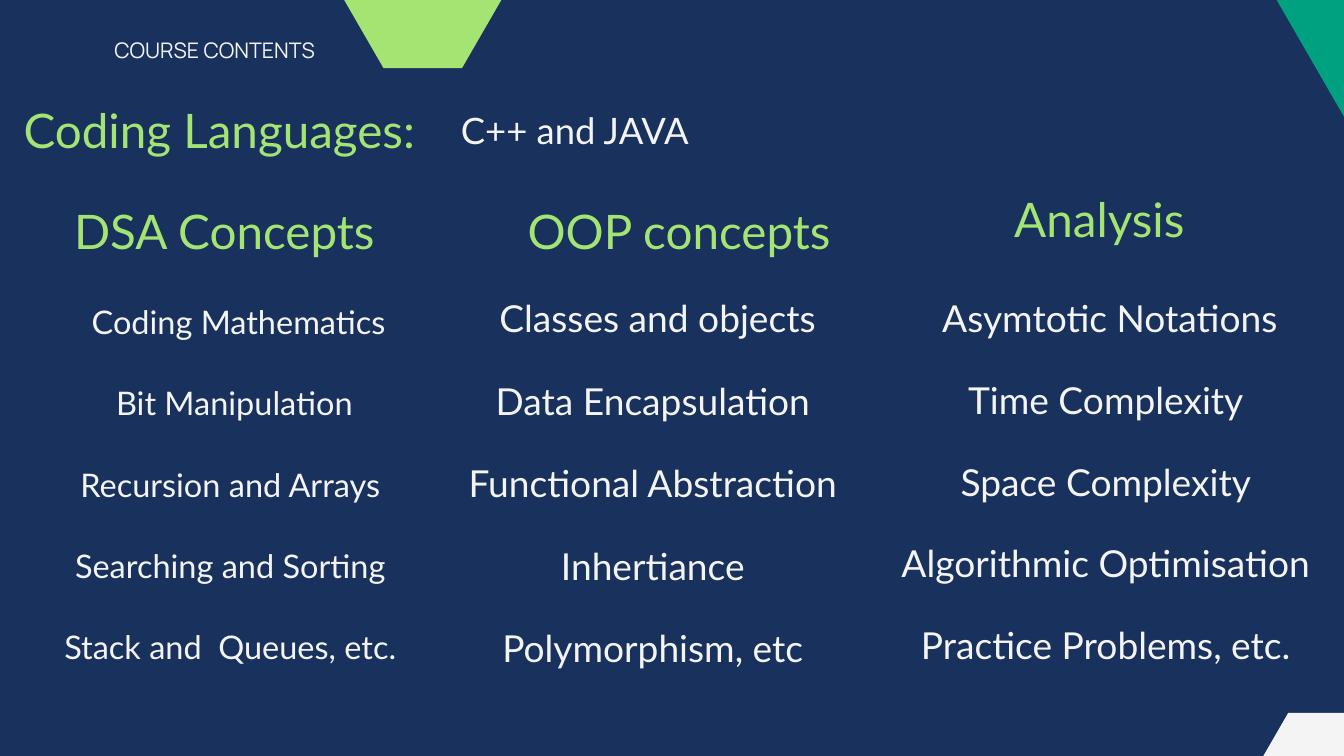
"""Build the course contents slide: languages taught and three topic columns."""
import math

from pptx import Presentation
from pptx import util as u
from pptx.dml.color import RGBColor
from pptx.enum import text

COLOURS = {"navy": "19315D", "white": "F4F4F4", "lime": "A4E473", "teal": "00A181"}
LEFT, CENTER = text.PP_ALIGN.LEFT, text.PP_ALIGN.CENTER

HEXAGONS = [
    {"center": (56.82, -0.52), "width": 17.73, "colour": "teal"},
    {"center": (50.8, 30.6), "width": 8.43, "colour": "white"},
    {"center": (15.98, 0), "width": 5.94, "colour": "lime"},
]

LABELS = [
    {"line": "C++ and JAVA", "at": (17.42, 4.09, 41.02, 1.65),
     "size": 39, "leading": 46.8},
    {"line": "COURSE CONTENTS", "at": (4.32, 1.22, 11.68, 1.12),
     "size": 23, "leading": 32.2, "font": "Manrope"},
]

HEADINGS = [
    {"line": "Coding Languages:", "at": (0.89, 3.81, 15.98), "align": LEFT},
    {"line": "DSA Concepts", "at": (1.8, 7.62, 13.36), "align": CENTER},
    {"line": "OOP concepts", "at": (19.28, 7.62, 12.78), "align": CENTER},
    {"line": "Analysis ", "at": (35.64, 7.19, 12.29), "align": CENTER},
]

TOPICS = [
    {"at": (-0.18, 9.83, 18.08, 14.81), "size": 34.8, "leading": 87,
     "lines": [" Coding Mathematics", "Bit Manipulation", "Recursion and Arrays ",
               "Searching and Sorting ", "Stack and  Queues, etc. "]},
    {"at": (15.98, 9.75, 17.4, 15.14), "size": 39.8, "leading": 88.3,
     "lines": [" Classes and objects", "Data Encapsulation", "Functional Abstraction",
               "Inhertiance", "Polymorphism, etc"]},
    {"at": (33.1, 9.78, 17.4, 15.01), "size": 39.8, "leading": 87.5,
     "lines": [" Asymtotic Notations", "Time Complexity", "Space Complexity",
               "Algorithmic Optimisation", "Practice Problems, etc."]},
]


def colour(name):
    return RGBColor.from_string(COLOURS[name])


def add_hexagon(page, center, width, fill):
    radius = width / 2
    corners = [
        (u.Cm(center[0] + radius * math.cos(math.radians(angle))),
         u.Cm(center[1] + radius * math.sin(math.radians(angle))))
        for angle in range(0, 360, 60)
    ]
    builder = page.shapes.build_freeform(*corners[0])
    builder.add_line_segments(corners[1:], close=True)
    shape = builder.convert_to_shape()
    shape.shadow.inherit = False
    shape.fill.solid()
    shape.fill.fore_color.rgb = colour(fill)
    shape.line.fill.background()


def add_text(page, lines, at, size, leading, ink="white", font="Lato", align=LEFT):
    frame = page.shapes.add_textbox(*map(u.Cm, at)).text_frame
    frame.margin_left = frame.margin_right = 0
    frame.margin_top = frame.margin_bottom = 0
    frame.word_wrap = True
    frame.auto_size = text.MSO_AUTO_SIZE.SHAPE_TO_FIT_TEXT
    frame.text = "\n".join(lines)
    for para in frame.paragraphs:
        para.alignment = align
        para.line_spacing = u.Pt(leading)
        para.font.name = font
        para.font.size = u.Pt(size)
        para.font.color.rgb = colour(ink)


def main():
    deck = Presentation()
    deck.slide_width, deck.slide_height = u.Cm(50.8), u.Cm(28.58)
    page = deck.slides.add_slide(deck.slide_layouts[6])
    page.background.fill.solid()
    page.background.fill.fore_color.rgb = colour("navy")

    for hexagon in HEXAGONS:
        add_hexagon(page, hexagon["center"], hexagon["width"], hexagon["colour"])
    for label in LABELS:
        add_text(page, [label["line"]], label["at"], label["size"], label["leading"],
                 font=label.get("font", "Lato"))
    for heading in HEADINGS:
        add_text(page, [heading["line"]], (*heading["at"], 2.16), 51, 61.2,
                 ink="lime", align=heading["align"])
    for topic in TOPICS:
        add_text(page, topic["lines"], topic["at"], topic["size"], topic["leading"],
                 align=CENTER)

    deck.save("out.pptx")


if __name__ == "__main__":
    main()
